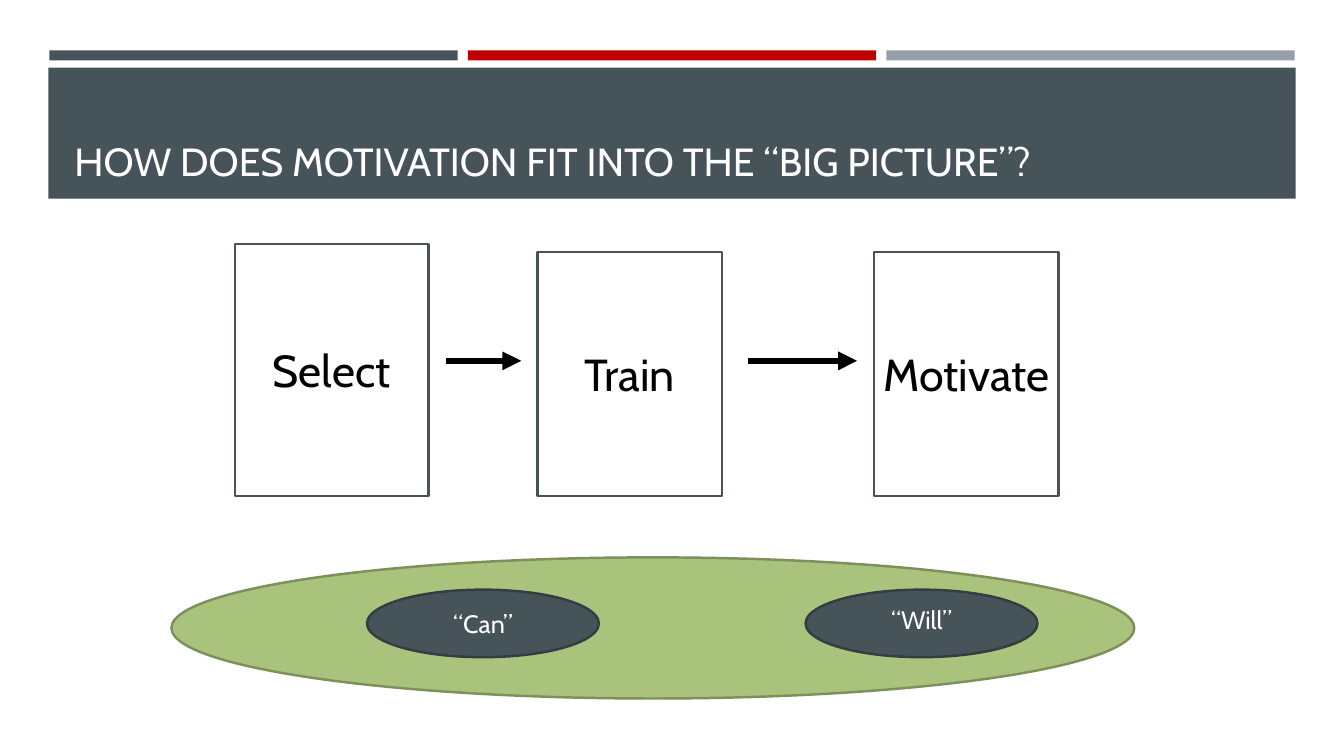
from pptx import Presentation
from pptx.dml.color import RGBColor
from pptx.enum.shapes import MSO_CONNECTOR, MSO_SHAPE
from pptx.enum.text import MSO_ANCHOR, PP_ALIGN
from pptx.oxml.ns import qn
from pptx.util import Inches, Pt
from lxml.etree import SubElement

COLORS = {
    "slate": "465359", "dark": "343D42", "red": "C00000", "gray": "969FA7",
    "green": "A9C37C", "olive": "7D905C", "white": "FFFFFF", "black": "000000",
}
FONT = "Cabin"


def color(name):
    return RGBColor.from_string(COLORS[name])


def write(shape, text, size, ink, align=PP_ALIGN.CENTER,
          anchor=MSO_ANCHOR.MIDDLE, wrap=True):
    frame = shape.text_frame
    frame.word_wrap = wrap
    frame.vertical_anchor = anchor
    para = frame.paragraphs[0]
    para.alignment = align
    run = para.add_run()
    style = {"text": text}
    for key, value in style.items():
        setattr(run, key, value)
    look = {"name": FONT, "size": Pt(size), "bold": False}
    for key, value in look.items():
        setattr(run.font, key, value)
    run.font.color.rgb = color(ink)


def add_form(slide, kind, box, fill, line=None):
    shape = slide.shapes.add_shape(kind, *map(Inches, box))
    shape.shadow.inherit = False
    shape.fill.solid()
    shape.fill.fore_color.rgb = color(fill)
    if line:
        shape.line.color.rgb = color(line)
        shape.line.width = Pt(1.75)
    else:
        shape.line.fill.background()
    return shape


def add_title(slide, text):
    add_form(slide, MSO_SHAPE.RECTANGLE, (0.48, 0.67, 12.37, 1.3), "slate")
    box = slide.shapes.add_textbox(*map(Inches, (0.64, 0.77, 12.06, 1.11)))
    write(box, text, 28, "white", PP_ALIGN.LEFT, MSO_ANCHOR.BOTTOM)


def add_step(slide, text, left, top, width):
    # All steps share one bottom edge
    box = (left, top, width, 4.92 - top)
    step = add_form(slide, MSO_SHAPE.RECTANGLE, box, "white", "slate")
    write(step, text, 32, "black", wrap=False)


def add_arrow(slide, start, end, level=3.58):
    arrow = slide.shapes.add_connector(
        MSO_CONNECTOR.STRAIGHT,
        *map(Inches, (start, level, end, level)))
    arrow.line.color.rgb = color("black")
    arrow.line.width = Pt(4.5)
    SubElement(arrow.line._get_or_add_ln(), qn("a:tailEnd"), type="triangle")
    SubElement(arrow._element.spPr, qn("a:effectLst"))


def add_label(slide, text, left, anchor):
    box = (left, 5.85, 2.3, 0.67)
    oval = add_form(slide, MSO_SHAPE.OVAL, box, "slate", "dark")
    write(oval, text, 18, "white", anchor=anchor)


def main():
    deck = Presentation()
    deck.slide_width = Inches(13.33)
    deck.slide_height = Inches(7.5)
    slide = deck.slides.add_slide(deck.slide_layouts[6])

    # Bars above the title
    for i, fill in enumerate(("slate", "red", "gray")):
        bar = (0.49 + 4.15 * i, 0.5, 4.05, 0.1)
        add_form(slide, MSO_SHAPE.RECTANGLE, bar, fill)
    add_title(slide, "HOW DOES MOTIVATION FIT INTO THE “BIG PICTURE”?")

    # Steps and the arrows between them
    add_step(slide, "Select", 2.33, 2.42, 1.92)
    add_step(slide, "Train", 5.33, 2.5, 1.83)
    add_step(slide, "Motivate", 8.67, 2.5, 1.83)
    add_arrow(slide, 4.42, 5.17)
    add_arrow(slide, 7.42, 8.5)

    # Ellipse with the two labels
    add_form(slide, MSO_SHAPE.OVAL, (1.7, 5.53, 9.55, 1.4), "green", "olive")
    add_label(slide, "“Will”", 7.99, MSO_ANCHOR.TOP)
    add_label(slide, "“Can”", 3.64, MSO_ANCHOR.MIDDLE)

    deck.save("out.pptx")


if __name__ == "__main__":
    main()
